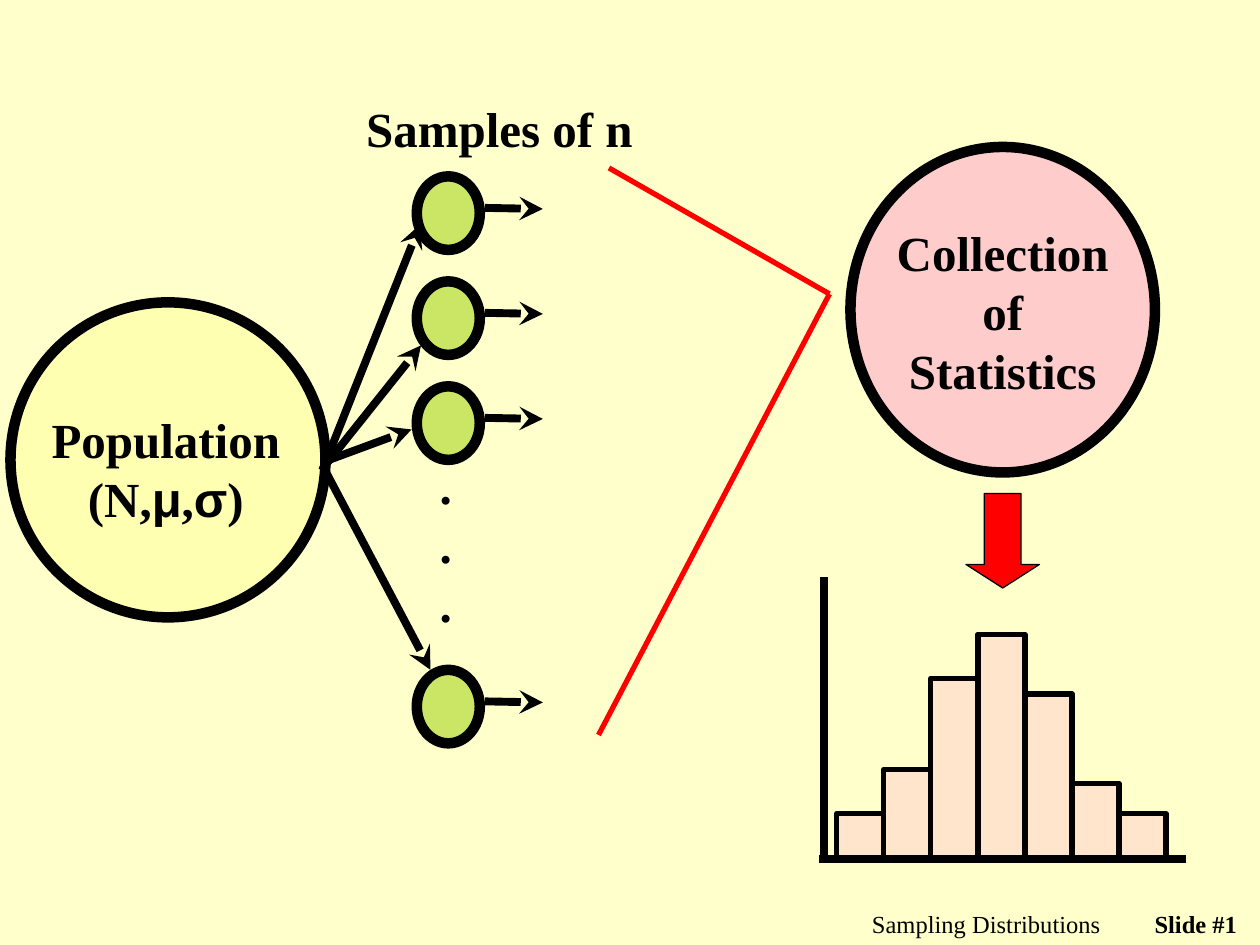
from dataclasses import dataclass

import pptx
import pptx.dml.color
import pptx.enum.shapes
import pptx.enum.text
import pptx.oxml.ns
import pptx.util
from lxml import etree

COLUMNS, ROWS = 120, 90
COLOURS = {
    "paper": "FFFFCC", "ink": "000000", "population": "FFFF99",
    "sample": "99CC00", "statistic": "FFCCCC", "flow": "FF0000",
}
SERIF, SANS = "Times New Roman", "Arial"
SHAPES = pptx.enum.shapes.MSO_SHAPE
ALIGN = pptx.enum.text.PP_ALIGN

deck = pptx.Presentation()
deck.slide_width = pptx.util.Inches(10)
deck.slide_height = pptx.util.Inches(7.5)
page = deck.slides.add_slide(deck.slide_layouts[6])


@dataclass
class Area:
    """A rectangle in grid columns and rows."""
    column: float
    row: float
    columns: float
    rows: float

    def lengths(self) -> tuple[int, int, int, int]:
        return (across(self.column), down(self.row),
                across(self.columns), down(self.rows))


@dataclass
class Stroke:
    """A straight line between two (column, row) points."""
    start: tuple[float, float]
    end: tuple[float, float]
    width: float = 4.5
    colour: str = "ink"
    arrow: bool = False


@dataclass
class Label:
    """Lines of text, each a list of (text, font name) spans."""
    area: Area
    lines: list[list[tuple[str, str]]]
    size: int = 28
    bold: bool = True
    align: ALIGN = ALIGN.LEFT
    wrap: bool = False


def across(columns: float) -> int:
    return round(deck.slide_width * columns / COLUMNS)


def down(rows: float) -> int:
    return round(deck.slide_height * rows / ROWS)


def rgb(name: str) -> pptx.dml.color.RGBColor:
    return pptx.dml.color.RGBColor.from_string(COLOURS[name])


def draw_shape(kind: SHAPES, area: Area, colour: str, border: float,
               half_clear: bool = False):
    shape = page.shapes.add_shape(kind, *area.lengths())
    shape.shadow.inherit = False
    shape.fill.solid()
    shape.fill.fore_color.rgb = rgb(colour)
    if half_clear:
        tint = shape._element.spPr.find(".//" + pptx.oxml.ns.qn("a:srgbClr"))
        etree.SubElement(tint, pptx.oxml.ns.qn("a:alpha"), val="50000")
    shape.line.color.rgb = rgb("ink")
    shape.line.width = pptx.util.Pt(border)
    return shape


def draw_stroke(stroke: Stroke) -> None:
    (left, top), (right, bottom) = stroke.start, stroke.end
    connector = page.shapes.add_connector(
        pptx.enum.shapes.MSO_CONNECTOR.STRAIGHT,
        across(left), down(top), across(right), down(bottom))
    connector.line.color.rgb = rgb(stroke.colour)
    connector.line.width = pptx.util.Pt(stroke.width)
    if stroke.arrow:
        etree.SubElement(connector.line._get_or_add_ln(),
                         pptx.oxml.ns.qn("a:tailEnd"), type="stealth")
    etree.SubElement(connector._element.spPr, pptx.oxml.ns.qn("a:effectLst"))


def draw_label(label: Label):
    box = page.shapes.add_textbox(*label.area.lengths())
    frame = box.text_frame
    frame.word_wrap = label.wrap
    for index, line in enumerate(label.lines):
        para = frame.add_paragraph() if index else frame.paragraphs[0]
        para.alignment = label.align
        for text, font_name in line:
            span = para.add_run()
            span.text = text
            span.font.name = font_name
            span.font.size = pptx.util.Pt(label.size)
            span.font.bold = label.bold
            span.font.color.rgb = rgb("ink")
    return box


page.background.fill.solid()
page.background.fill.fore_color.rgb = rgb("paper")

# Footer
draw_label(Label(Area(68, 86, 38, 3), [[("Sampling Distributions", SERIF)]],
                 size=14, bold=False, align=ALIGN.RIGHT, wrap=True))
draw_label(Label(Area(106, 86, 13, 2), [[("Slide #1", SERIF)]],
                 size=14, align=ALIGN.RIGHT, wrap=True))

# Population
draw_shape(SHAPES.OVAL, Area(1, 28.8, 30, 30), "population", 6, half_clear=True)
draw_label(Label(
    Area(3.7, 38.4, 24.2, 12.4),
    [[("Population", SERIF)],
     [("(N,", SERIF), ("μ", SANS), (",", SERIF), ("σ", SANS), (")", SERIF)]],
    align=ALIGN.CENTER))

# Samples, each with an arrow from the population and one leading onward
draw_label(Label(Area(33.7, 8.8, 27.8, 6.8), [[("Samples of n", SERIF)]]))
SAMPLE_ROWS = [16.8, 26.8, 36.8, 63.8]
DRAWS = [
    Stroke((30.7, 44.8), (40, 21.4), arrow=True),
    Stroke((31, 44.3), (40.1, 32.9), arrow=True),
    Stroke((30.8, 44), (39.2, 40.9), arrow=True),
    Stroke((30.7, 44.3), (41, 63.8), arrow=True),
]
for row, draw in zip(SAMPLE_ROWS, DRAWS):
    draw_stroke(draw)
    draw_shape(SHAPES.OVAL, Area(39.7, row, 6, 7), "sample", 6, half_clear=True)
    draw_stroke(Stroke((46.2, row + 3), (51.7, row + 3.1), arrow=True))
draw_label(Label(Area(40.7, 42.8, 3.6, 18), [[(".", SERIF)]] * 3))

# Collection of statistics
draw_shape(SHAPES.OVAL, Area(81, 14, 29, 31), "statistic", 6)
caption = draw_label(Label(
    Area(84.1, 21.2, 22.8, 16.9),
    [[(word, SERIF)] for word in ("Collection", "of", "Statistics")],
    align=ALIGN.CENTER, wrap=True))
caption.fill.solid()
caption.fill.fore_color.rgb = rgb("statistic")
for side in ("left", "top", "right", "bottom"):
    setattr(caption.text_frame, f"margin_{side}", 0)

# Histogram of the sampling distribution
BASE_ROW, BAR_COLUMNS = 81.8, 4.48
BAR_ROWS = [4.3, 8.5, 17.2, 21.4, 15.7, 7.2, 4.3]
draw_stroke(Stroke((78.5, 55), (78.5, BASE_ROW)))
for index, height in enumerate(BAR_ROWS):
    bar = Area(79.7 + index * BAR_COLUMNS, BASE_ROW - height, BAR_COLUMNS, height)
    draw_shape(SHAPES.RECTANGLE, bar, "statistic", 3, half_clear=True)
draw_stroke(Stroke((113, BASE_ROW), (78, BASE_ROW)))

# Bracket from the samples to the collection, and the arrow to the histogram
for start in ((57, 70), (58, 16)):
    draw_stroke(Stroke(start, (79, 28), width=3, colour="flow"))
arrow = draw_shape(SHAPES.DOWN_ARROW, Area(92, 47, 7, 9), "flow", 0.75)
arrow.adjustments[0] = 0.5
arrow.adjustments[1] = 0.32

deck.save("out.pptx")
